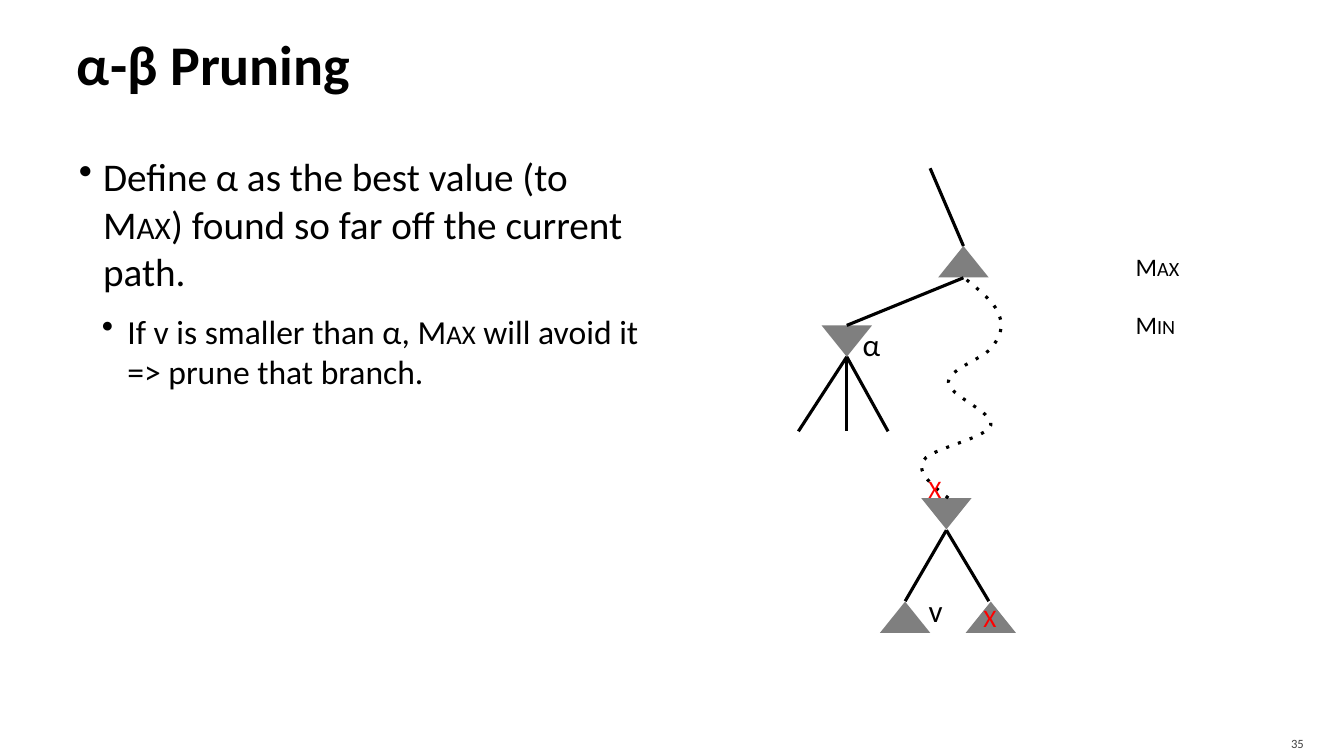
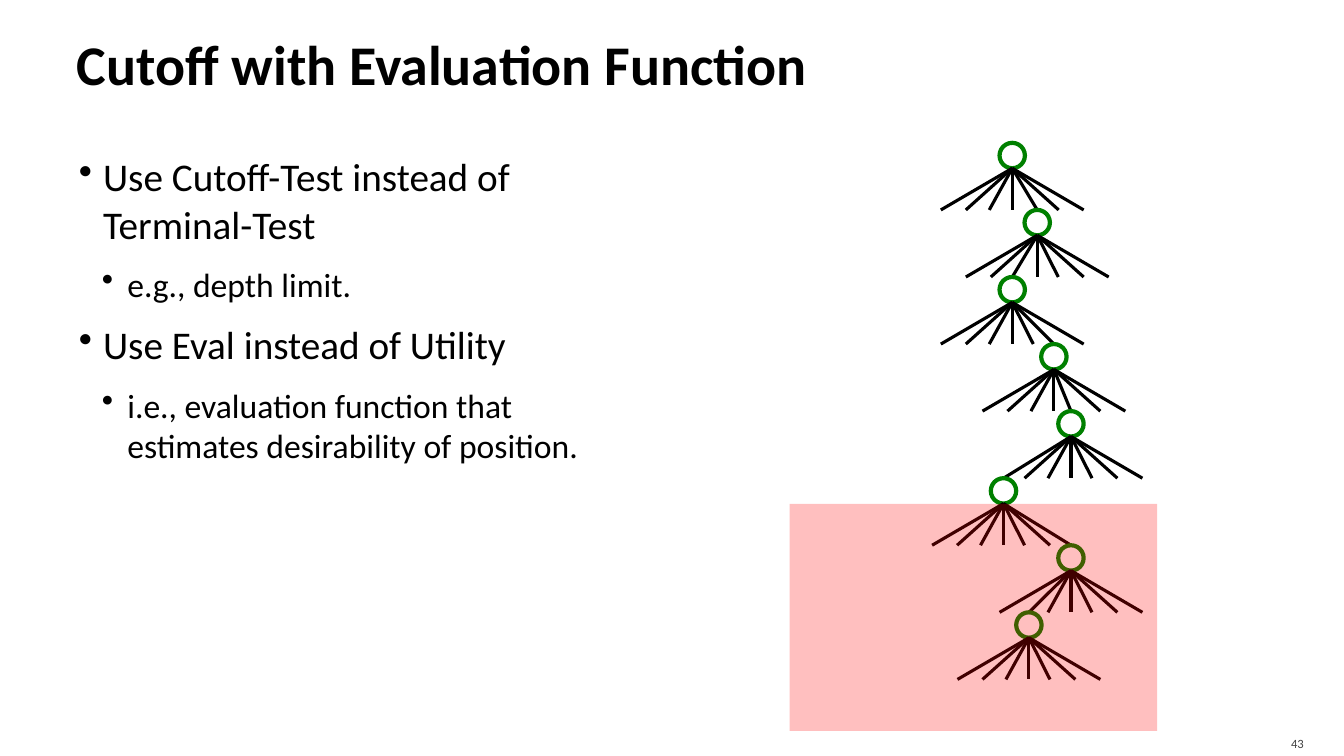
from lxml import etree
from pptx import Presentation
from pptx.dml.color import RGBColor
from pptx.enum.shapes import MSO_CONNECTOR, MSO_SHAPE
from pptx.enum.text import MSO_ANCHOR, MSO_AUTO_SIZE, PP_ALIGN
from pptx.oxml.ns import qn
from pptx.util import Cm, Pt

BLACK = RGBColor(0, 0, 0)
GRAY = RGBColor(0x7F, 0x7F, 0x7F)
DARK = RGBColor(0x41, 0x41, 0x41)
RED = RGBColor(0xFF, 0, 0)
GREEN = RGBColor(0, 0x80, 0)
FONT = "Calibri"
LEFT, MID, RIGHT = PP_ALIGN.LEFT, PP_ALIGN.CENTER, PP_ALIGN.RIGHT
TOP, CENTER = MSO_ANCHOR.TOP, MSO_ANCHOR.MIDDLE
FIXED = MSO_AUTO_SIZE.NONE
STRAIGHT = MSO_CONNECTOR.STRAIGHT
TRI, RING, RECT = MSO_SHAPE.ISOSCELES_TRIANGLE, MSO_SHAPE.OVAL, MSO_SHAPE.RECTANGLE
TITLE_ONLY = 5
TRI_W, TRI_H = 1.27, 0.79
RING_W = 0.64
LEVELS = [(28, 0.66, -0.61), (24, 1.27, -0.64)]
NODES = [25.51, 26.14, 25.51, 26.56, 26.99, 25.29, 26.99, 25.93]
FAN = [-1.8, -1.17, -0.58, 0, 0.53, 1.17, 1.8]
STEP = 1.69
PATH = [
    (23.9, 12.55), (23.5, 12.24), (23.09, 11.91), (23.27, 11.61),
    (23.44, 11.3), (24.87, 11.05), (24.97, 10.72),
    (25.07, 10.39), (23.88, 9.96), (23.9, 9.63),
    (23.9, 9.3), (24.79, 9.04), (24.99, 8.76),
    (25.22, 8.48), (25.3, 8.2), (25.17, 7.92),
    (25.07, 7.62), (24.69, 7.32), (24.31, 7.01),
]


def set_frame(frame, pads, anchor, wrap=True):
    frame.auto_size = FIXED
    frame.word_wrap = wrap
    frame.vertical_anchor = anchor
    (frame.margin_left, frame.margin_top,
     frame.margin_right, frame.margin_bottom) = map(Cm, pads)


def style(para, size, color=BLACK, bold=False, align=LEFT):
    para.alignment = align
    for run in para.runs:
        font = run.font
        font.name, font.size, font.bold = FONT, Pt(size), bold
        font.color.rgb = color


def small_caps(run):
    run._r.get_or_add_rPr().set("cap", "small")


def add_text(slide, box, text, size, color=BLACK, align=LEFT,
             pads=(0, 0, 0, 0), anchor=CENTER, wrap=True):
    frame = slide.shapes.add_textbox(*map(Cm, box)).text_frame
    set_frame(frame, pads, anchor, wrap)
    frame.text = text
    para = frame.paragraphs[0]
    style(para, size, color, align=align)
    return para


def add_bullet(para, level, text):
    size, margin, indent = LEVELS[level]
    first, *rest = text.split("|")
    para.text = first
    for i, part in enumerate(rest):
        run = para.add_run()
        run.text = part
        if i % 2 == 0:
            small_caps(run)
    para.level = level
    style(para, size)
    props = para._p.get_or_add_pPr()
    props.set("marL", str(Cm(margin)))
    props.set("indent", str(Cm(indent)))
    color = etree.SubElement(props, qn("a:buClr"))
    etree.SubElement(color, qn("a:srgbClr")).set("val", str(BLACK))
    etree.SubElement(props, qn("a:buChar")).set("char", "•")


def add_body(slide, rows):
    frame = slide.shapes.add_textbox(*map(Cm, (1.69, 3.6, 14.97, 15.3))).text_frame
    set_frame(frame, (0.25, 0.25, 0.25, 0.13), TOP)
    for i, (level, text) in enumerate(rows):
        para = frame.add_paragraph() if i else frame.paragraphs[0]
        para.space_before = Pt(12 if i else 0)
        add_bullet(para, level, text)


def add_slide(deck, title, rows, number):
    slide = deck.slides.add_slide(deck.slide_layouts[TITLE_ONLY])
    head = slide.shapes.title
    head.left, head.top, head.width, head.height = map(Cm, (1.69, 0.42, 30.48, 2.33))
    set_frame(head.text_frame, (0.25, 0.13, 0.13, 0.13), CENTER)
    head.text_frame.text = title
    style(head.text_frame.paragraphs[0], 40, bold=True)
    add_body(slide, rows)
    add_text(slide, (30.39, 18.29, 2.72, 0.76), number, 9, DARK, RIGHT,
             (0.25, 0.13, 0.25, 0))
    return slide


def add_shape(slide, kind, box, fill=None, line=None):
    shape = slide.shapes.add_shape(kind, *map(Cm, box))
    shape.shadow.inherit = False
    if fill is None:
        shape.fill.background()
    else:
        shape.fill.solid()
        shape.fill.fore_color.rgb = fill
    if line is None:
        shape.line.fill.background()
    else:
        shape.line.color.rgb = line
        shape.line.width = Pt(3)
    return shape


def add_tri(slide, x, y, down=False):
    shape = add_shape(slide, TRI, (x - TRI_W / 2, y, TRI_W, TRI_H), GRAY)
    shape.rotation = 180 if down else 0


def add_line(slide, start, end):
    line = slide.shapes.add_connector(STRAIGHT, *map(Cm, start + end))
    line.line.color.rgb = BLACK
    line.line.width = Pt(2.25)
    etree.SubElement(line._element.spPr, qn("a:effectLst"))


def bezier(pts, t):
    u = 1 - t
    parts = (u ** 3, 3 * u * u * t, 3 * u * t * t, t ** 3)
    return tuple(Cm(sum(k * p[i] for k, p in zip(parts, pts))) for i in (0, 1))


def add_curve(slide, path):
    count = 12
    dots = [bezier(path[i:i + 4], j / count)
            for i in range(0, len(path) - 1, 3) for j in range(1, count + 1)]
    form = slide.shapes.build_freeform(*map(Cm, path[0]))
    form.add_line_segments(dots, close=False)
    shape = form.convert_to_shape()
    shape.shadow.inherit = False
    shape.fill.background()
    shape.line.color.rgb = BLACK
    shape.line.width = Pt(2.25)
    pen = shape._element.spPr.find(qn("a:ln"))
    etree.SubElement(pen, qn("a:prstDash")).set("val", "dot")


def draw_prune(slide):
    for x, y, down in [(24.28, 6.2, False), (23.85, 12.55, True), (21.34, 8.2, True),
                       (22.81, 15.16, False), (24.97, 15.16, False)]:
        add_tri(slide, x, y, down)
    add_line(slide, (23.44, 4.24), (24.28, 6.2))
    add_line(slide, (24.28, 7), (21.34, 8.2))
    for x in (20.12, 21.34, 22.38):
        add_line(slide, (21.34, 8.99), (x, 10.87))
    for x in (22.81, 24.92):
        add_line(slide, (23.85, 13.36), (x, 15.15))
    add_curve(slide, PATH)
    for text, x, y in [("α", 21.44, 8.33), ("v", 23.06, 15.04)]:
        add_text(slide, (x, y, 1.04, 0.84), text, 22.2, align=MID).line_spacing = 0.8
    for x, y in [(23.16, 11.91), (24.54, 15.16)]:
        add_text(slide, (x, y, 0.81, 0.79), "X", 18, RED, MID)
    for text, y in [("Max", 6.2), ("Min", 7.67)]:
        para = add_text(slide, (28.37, y, 1.63, 1.02), text, 18,
                        pads=(0.25, 0.13, 0.25, 0.13), anchor=TOP, wrap=False)
        small_caps(para.runs[0])


def draw_cutoff(slide):
    for i, x in enumerate(NODES):
        y = 3.6 + i * STEP
        ends = [x + dx for dx in FAN]
        for child in NODES[i + 1:i + 2]:
            near = min(ends, key=lambda end: abs(end - child))
            ends[ends.index(near)] = child
        add_shape(slide, RING, (x - RING_W / 2, y, RING_W, RING_W), line=GREEN)
        for end in ends:
            add_line(slide, (x, y + RING_W), (end, y + STEP))
    veil = add_shape(slide, RECT, (19.9, 12.7, 9.26, 5.72), RED)
    color = veil._element.spPr.find(qn("a:solidFill"))[0]
    etree.SubElement(color, qn("a:alpha")).set("val", "25000")


def main():
    deck = Presentation()
    deck.slide_width, deck.slide_height = Cm(33.87), Cm(19.05)
    draw_prune(add_slide(deck, "α-β Pruning", [
        (0, "Define α as the best value (to |Max|) found so far off the current path."),
        (1, "If v is smaller than α, |Max| will avoid it => prune that branch."),
    ], "35"))
    draw_cutoff(add_slide(deck, "Cutoff with Evaluation Function", [
        (0, "Use Cutoff-Test instead of Terminal-Test"),
        (1, "e.g., depth limit."),
        (0, "Use Eval instead of Utility"),
        (1, "i.e., evaluation function that estimates desirability of position."),
    ], "43"))
    deck.save("out.pptx")


if __name__ == "__main__":
    main()
